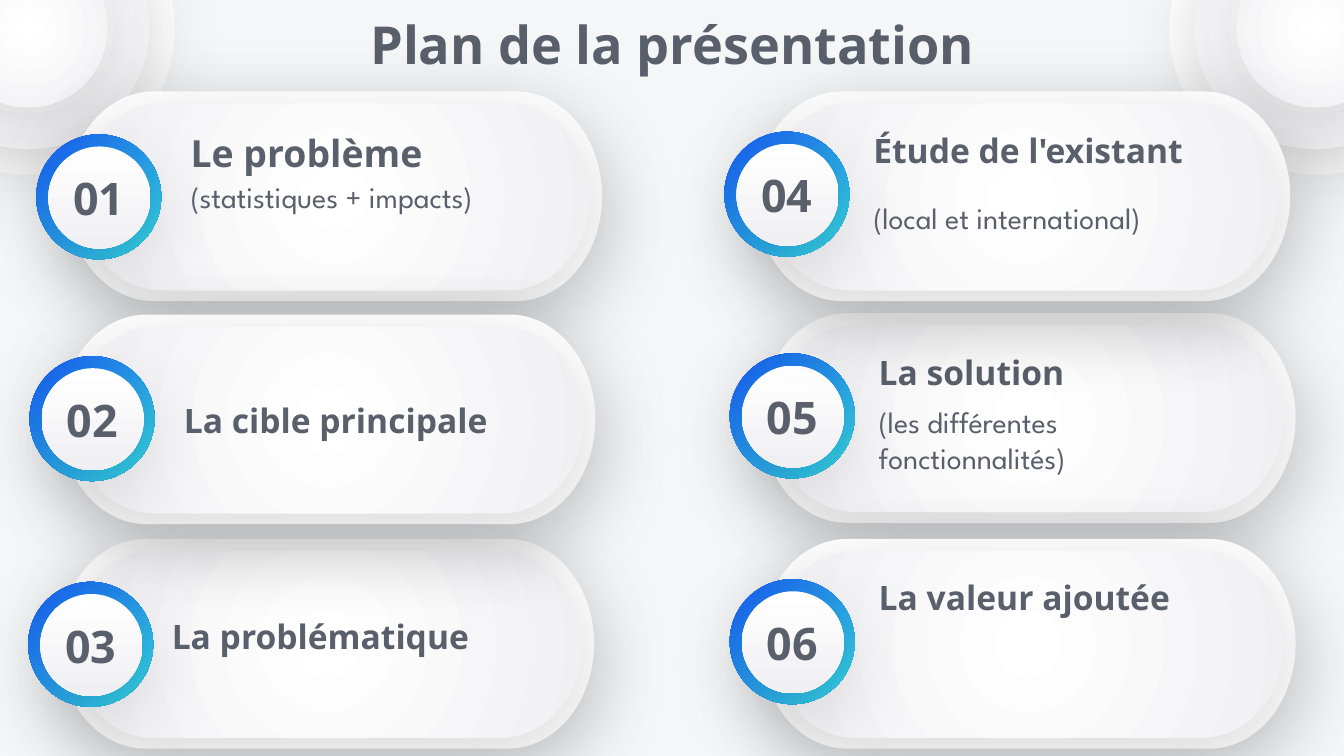
"""Builds the agenda slide: six numbered pill cards under a centred title."""
from lxml import etree
from pptx import Presentation, util as u
from pptx.dml.color import RGBColor
from pptx.enum import shapes as sh, text as tx
from pptx.oxml import ns

INK, PALE, WHITE = "595F6B", "F0F0F3", "FFFFFF"
HEAD_FONT, NOTE_FONT = "Noto Sans", "League Spartan"
MIDDLE, TOP = tx.MSO_ANCHOR.MIDDLE, tx.MSO_ANCHOR.TOP
LEFT, CENTER = tx.PP_ALIGN.LEFT, tx.PP_ALIGN.CENTER
OVAL = sh.MSO_SHAPE.OVAL
PILL = sh.MSO_SHAPE.FLOWCHART_TERMINATOR

TITLE = "Plan de la présentation"
# number, pill (left, top), ring drop, lines (text, font, size, left, top, height, anchor)
CARDS = [
    ("05", (5.66, 2.33), 0.3, [
        ("(les différentes fonctionnalités)", NOTE_FONT, 16, 6.44, 3.02, 0.5, MIDDLE),
        ("La solution", HEAD_FONT, 18, 6.44, 2.56, 0.41, MIDDLE)]),
    ("03", (0.44, 4.01), 0.32, [
        ("La problématique", HEAD_FONT, 18, 1.18, 4.53, 0.41, MIDDLE)]),
    ("01", (0.5, 0.68), 0.32, [
        ("(statistiques + impacts)", NOTE_FONT, 16, 1.32, 1.23, 0.66, TOP),
        ("Le problème", HEAD_FONT, 20, 1.32, 0.87, 0.53, TOP)]),
    ("02", (0.45, 2.34), 0.31, [
        ("La cible principale", HEAD_FONT, 18, 1.27, 2.92, 0.41, MIDDLE)]),
    ("04", (5.62, 0.68), 0.3, [
        ("(local et international)", NOTE_FONT, 16, 6.4, 1.37, 0.5, MIDDLE),
        ("Étude de l'existant", HEAD_FONT, 18, 6.4, 0.91, 0.41, MIDDLE)]),
    ("06", (5.66, 4.01), 0.3, [
        ("La valeur ajoutée", HEAD_FONT, 18, 6.44, 4.24, 0.41, MIDDLE)]),
]
CORNER_CENTRES = [(0.21, 0.21), (9.79, 0.21)]
CORNER_SIZES = [2.18, 1.8, 1.18]

RADIAL = '<a:path path="circle"><a:fillToRect l="50000" t="50000" r="50000" b="50000"/></a:path>'
SHADOW = ('<a:effectLst xmlns:a="%s"><a:outerShdw blurRad="571500" dist="142240" dir="5100000" '
          'algn="bl" rotWithShape="0"><a:srgbClr val="000000"><a:alpha val="15000"/></a:srgbClr>'
          '</a:outerShdw></a:effectLst>') % ns.nsuri("a")


def rgb(code):
    return RGBColor.from_string(code)


def linear(degrees):
    return f'<a:lin ang="{degrees * 60000}" scaled="0"/>'


def add_panel(slide, kind, left, top, width, height, colours, direction="", shadow=False):
    panel = slide.shapes.add_shape(kind, *map(u.Inches, (left, top, width, height)))
    panel.shadow.inherit = False
    panel.line.fill.background()
    properties = panel._element.spPr
    if len(colours) == 1:
        panel.fill.solid()
        panel.fill.fore_color.rgb = rgb(colours[0])
    else:
        stops = "".join(f'<a:gs pos="{place}"><a:srgbClr val="{colour}"/></a:gs>'
                        for place, colour in zip((0, 100000), colours))
        gradient = etree.fromstring(
            f'<a:gradFill xmlns:a="{ns.nsuri("a")}" rotWithShape="1">'
            f'<a:gsLst>{stops}</a:gsLst>{direction}</a:gradFill>')
        properties.find(ns.qn("a:prstGeom")).addnext(gradient)
    if shadow:
        properties.replace(properties.find(ns.qn("a:effectLst")), etree.fromstring(SHADOW))
    return panel


def write(shape, words, font, size, align=LEFT, anchor=MIDDLE):
    frame = shape.text_frame
    frame.word_wrap = True
    frame.auto_size = tx.MSO_AUTO_SIZE.NONE
    frame.vertical_anchor = anchor
    frame.margin_left = frame.margin_right = u.Inches(0.1)
    frame.margin_top = frame.margin_bottom = u.Inches(0.1)
    paragraph = frame.paragraphs[0]
    paragraph.alignment = align
    run = paragraph.add_run()
    run.text = words
    run.font.name, run.font.size = font, u.Pt(size)
    run.font.bold = font == HEAD_FONT
    run.font.color.rgb = rgb(INK)


def add_text(slide, left, top, width, height, *style):
    write(slide.shapes.add_textbox(*map(u.Inches, (left, top, width, height))), *style)


def add_corner(slide, x, y):
    for size in CORNER_SIZES:
        outer = size == CORNER_SIZES[0]
        add_panel(slide, OVAL, x - size / 2, y - size / 2, size, size,
                  [WHITE] if outer else [WHITE, PALE], RADIAL, not outer)


def add_card(slide, number, pill, drop, lines):
    left, top = pill
    ring_left, ring_top = left - 0.23, top + drop
    back = add_panel(slide, PILL, left, top, 3.98, 1.56, [WHITE], shadow=True)
    face = add_panel(slide, PILL, left + 0.09, top + 0.09, 3.8, 1.39, [WHITE, PALE], RADIAL, True)
    back.rotation = face.rotation = 180
    add_panel(slide, OVAL, ring_left, ring_top, 0.93, 0.93, ["1658F1", "36DBE0"], linear(45))
    add_panel(slide, OVAL, ring_left + 0.09, ring_top + 0.09, 0.76, 0.76,
              [WHITE, PALE], linear(90), True)
    add_text(slide, ring_left + 0.04, ring_top + 0.18, 0.85, 0.58, number, HEAD_FONT, 24, CENTER)
    for words, font, size, text_left, text_top, height, anchor in lines:
        add_text(slide, text_left, text_top, 2.77, height, words, font, size, LEFT, anchor)


def main():
    deck = Presentation()
    deck.slide_width, deck.slide_height = u.Inches(10), u.Inches(45 / 8)
    slide = deck.slides.add_slide(deck.slide_layouts[5])
    slide.background.fill.solid()
    slide.background.fill.fore_color.rgb = rgb("F5F6F8")
    for centre in CORNER_CENTRES:
        add_corner(slide, *centre)
    title = slide.shapes.title
    title.left, title.top, title.width, title.height = map(u.Inches, (0.78, 0.12, 8.44, 0.41))
    write(title, TITLE, HEAD_FONT, 28, CENTER)
    slide.shapes._spTree.append(title._element)
    for card in CARDS:
        add_card(slide, *card)
    deck.save("out.pptx")


if __name__ == "__main__":
    main()
